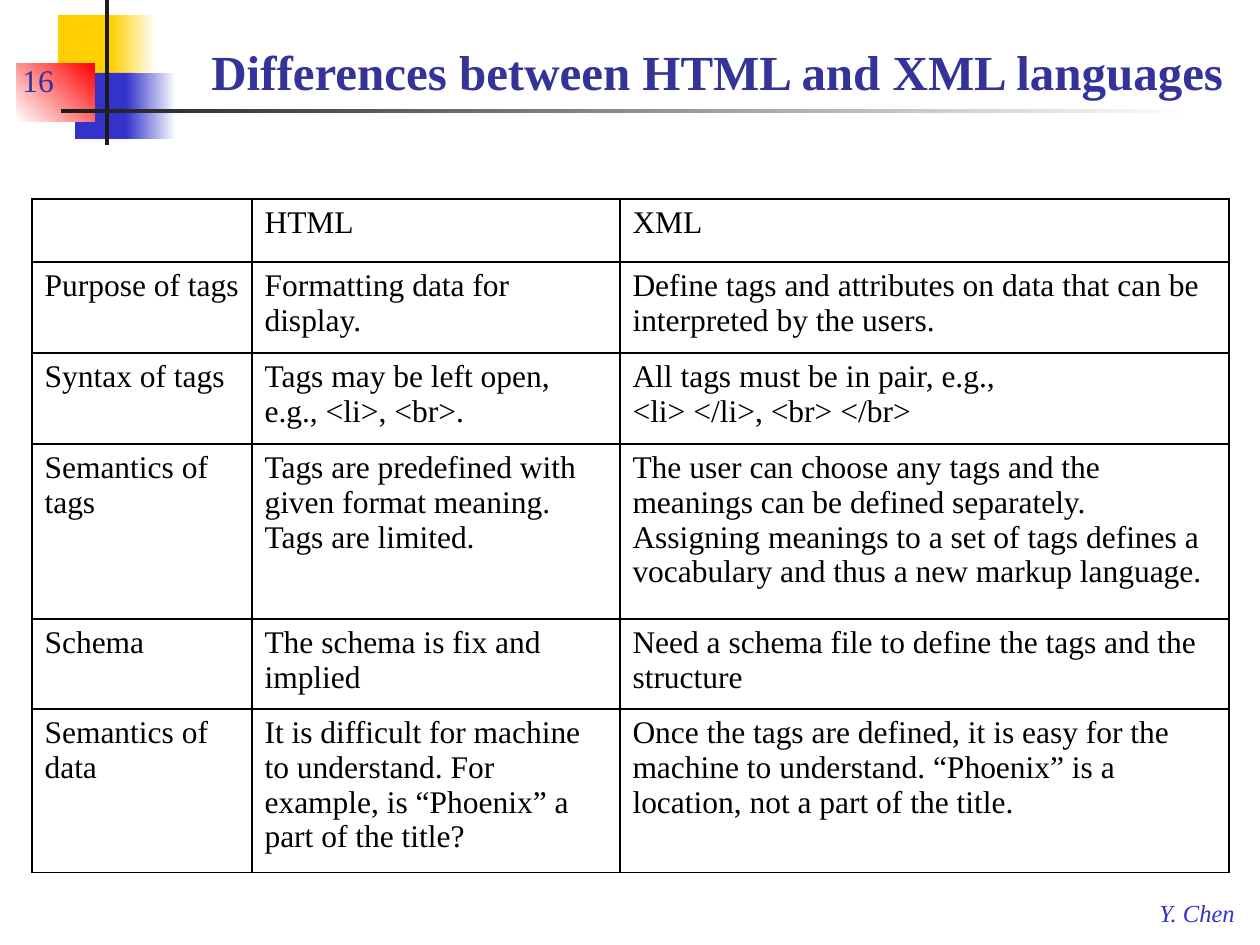
from dataclasses import dataclass

from lxml.etree import SubElement
from pptx import Presentation
from pptx.dml.color import RGBColor
from pptx.enum.text import MSO_ANCHOR
from pptx.oxml.ns import qn
from pptx.util import Pt

PIXEL = 914400 // 126


@dataclass(frozen=True)
class Theme:
    """Colours, font and type sizes of the slide."""
    yellow: str = "FFCF01"
    blue: str = "3333CC"
    red: str = "FF0000"
    dark: str = "1C1C1C"
    white: str = "FFFFFF"
    black: str = "000000"
    heading: str = "333399"
    font: str = "Times New Roman"
    title_size: int = 28
    body_size: int = 18
    footer_size: int = 14


theme = Theme()


def style(frame, size, color, bold=False, italic=False):
    """Format every run of a text frame."""
    for para in frame.paragraphs:
        for span in para.runs:
            span.font.name = theme.font
            span.font.size = Pt(size)
            span.font.bold = bold
            span.font.italic = italic
            span.font.color.rgb = RGBColor.from_string(color)


def add_border(cell):
    """Draw a thin black line on all four sides of a cell."""
    properties = cell._tc.get_or_add_tcPr()
    for side in ("a:lnL", "a:lnR", "a:lnT", "a:lnB"):
        line = SubElement(properties, qn(side), w=str(Pt(1)))
        fill = SubElement(line, qn("a:solidFill"))
        SubElement(fill, qn("a:srgbClr"), val=theme.black)


deck = Presentation()
deck.slide_width = 1260 * PIXEL
deck.slide_height = 945 * PIXEL
page = deck.slides.add_slide(deck.slide_layouts[6])

# Corner ornament: left, top, width, height, colours, gradient angle
ornament = [
    (58, 15, 60, 66, [theme.yellow], 0),
    (111, 15, 45, 66, [theme.yellow, theme.white], 0),
    (75, 73, 58, 66, [theme.blue], 0),
    (126, 73, 50, 66, [theme.blue, theme.white], 0),
    (17, 63, 78, 59, [theme.white, theme.red], 45),
    (105, 0, 4, 145, [theme.dark], 0),
    (61, 109, 1134, 4, [theme.dark, theme.white], 0),
]
for *place, colors, angle in ornament:
    block = page.shapes.add_shape(1, *(length * PIXEL for length in place))
    block.shadow.inherit = False
    block.line.fill.background()
    if len(colors) == 1:
        block.fill.solid()
        block.fill.fore_color.rgb = RGBColor.from_string(colors[0])
    else:
        block.fill.gradient()
        block.fill.gradient_angle = angle
        for stop, color in zip(block.fill.gradient_stops, colors):
            stop.color.rgb = RGBColor.from_string(color)

# Text boxes: left, top, width, height, text, size, colour, bold, italic, wrap
labels = [
    (1147, 892, 103, 42, "Y. Chen", theme.footer_size, theme.blue, False, True, False),
    (10, 42, 262, 63, "16", theme.body_size, theme.heading, False, False, True),
    (199, 21, 1050, 86, "Differences between HTML and XML languages",
     theme.title_size, theme.heading, True, False, True),
]
for *place, text, size, color, bold, italic, wrap in labels:
    box = page.shapes.add_textbox(*(length * PIXEL for length in place))
    frame = box.text_frame
    frame.word_wrap = wrap
    frame.vertical_anchor = MSO_ANCHOR.BOTTOM if wrap else MSO_ANCHOR.TOP
    frame.text = text
    style(frame, size, color, bold, italic)

# Comparison table
column_widths = [220, 368, 609]
row_heights = [63, 91, 91, 175, 90, 163]
rows = [
    ("", "HTML", "XML"),
    ("Purpose of tags", "Formatting data for display.",
     "Define tags and attributes on data that can be interpreted by the users."),
    ("Syntax of tags", "Tags may be left open, e.g., <li>, <br>.",
     "All tags must be in pair, e.g.,\v<li> </li>, <br> </br>"),
    ("Semantics of tags",
     "Tags are predefined with given format meaning. Tags are limited.",
     "The user can choose any tags and the meanings can be defined separately. "
     "Assigning meanings to a set of tags defines a vocabulary and thus a new "
     "markup language."),
    ("Schema", "The schema is fix and implied",
     "Need a schema file to define the tags and the structure"),
    ("Semantics of data",
     "It is difficult for machine to understand. For example, is “Phoenix” "
     "a part of the title?",
     "Once the tags are defined, it is easy for the machine to understand. "
     "“Phoenix” is a location, not a part of the title."),
]
table = page.shapes.add_table(
    len(rows), len(column_widths), 32 * PIXEL, 199 * PIXEL,
    sum(column_widths) * PIXEL, sum(row_heights) * PIXEL).table
table.first_row = False
table.horz_banding = False
for column, width in zip(table.columns, column_widths):
    column.width = width * PIXEL
for row, height, texts in zip(table.rows, row_heights, rows):
    row.height = height * PIXEL
    for cell, text in zip(row.cells, texts):
        add_border(cell)
        cell.fill.background()
        cell.text_frame.text = text
        style(cell.text_frame, theme.body_size, theme.black)

deck.save("out.pptx")
